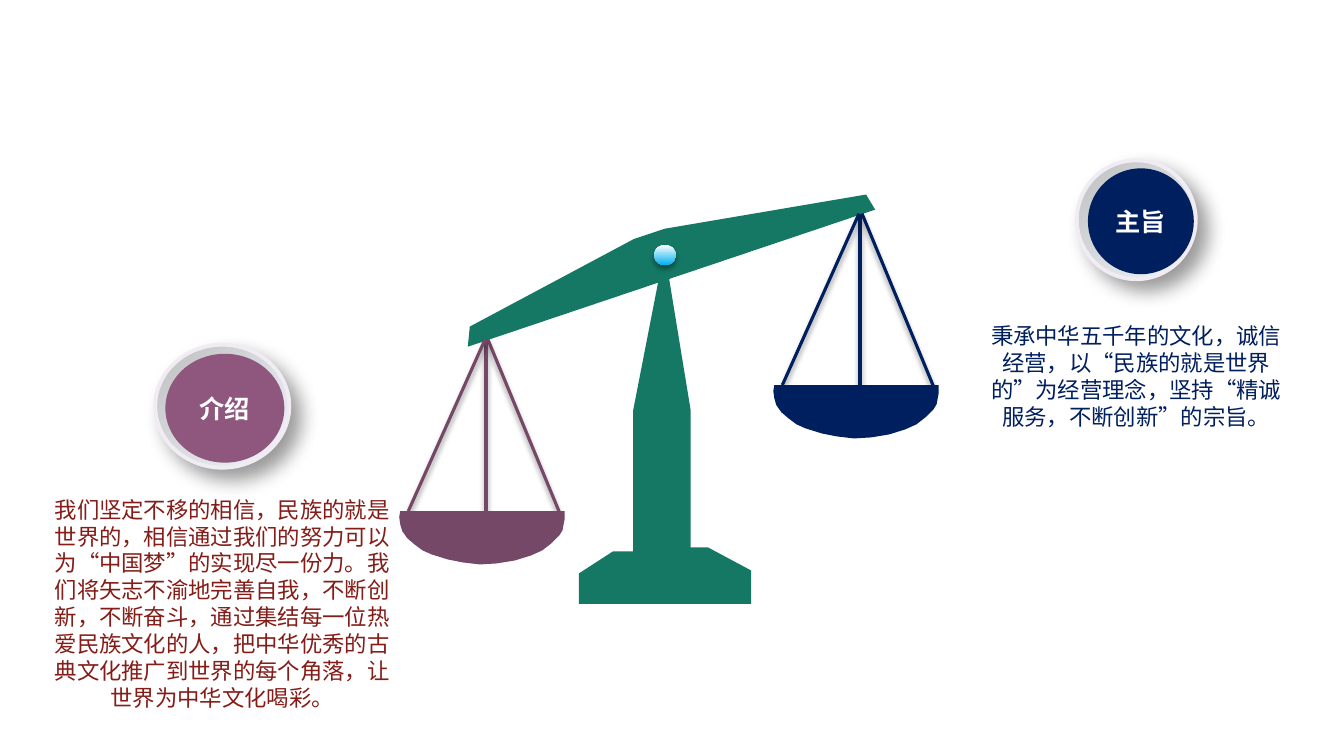
from dataclasses import dataclass

from lxml.etree import SubElement
from pptx import Presentation
from pptx.dml.color import RGBColor
from pptx.enum.shapes import MSO_CONNECTOR, MSO_SHAPE
from pptx.enum.text import MSO_ANCHOR, MSO_AUTO_SIZE, PP_ALIGN
from pptx.oxml.ns import qn
from pptx.util import Inches, Pt


@dataclass(frozen=True)
class Theme:
    green: RGBColor = RGBColor.from_string("147865")
    navy: RGBColor = RGBColor.from_string("001F5E")
    plum: RGBColor = RGBColor.from_string("764867")
    mauve: RGBColor = RGBColor.from_string("8F577D")
    red: RGBColor = RGBColor.from_string("841C17")
    white: RGBColor = RGBColor.from_string("FFFFFF")
    sky: RGBColor = RGBColor.from_string("00B0F0")
    rim: RGBColor = RGBColor.from_string("F1ECF4")
    pale: RGBColor = RGBColor.from_string("F1F7FD")
    silver: RGBColor = RGBColor.from_string("BFBFBF")
    badge_font: str = "Noto Sans CJK SC"
    body_font: str = "Arial"
    badge_size: Pt = Pt(18)
    body_size: Pt = Pt(16)


theme = Theme()


def add_shadow(shape, blur, distance, angle):
    """Give a shape a 40% black outer shadow; call it after the line is set."""
    effects = SubElement(shape._element.spPr, qn("a:effectLst"))
    shadow = SubElement(effects, qn("a:outerShdw"), blurRad=str(Pt(blur)),
                        dist=str(Pt(distance)), dir=str(angle * 60000), rotWithShape="0")
    color = SubElement(shadow, qn("a:srgbClr"), val="000000")
    SubElement(color, qn("a:alpha"), val="40000")


def add_outline(shapes, points, color):
    """Draw a closed, filled polygon through points given in inches."""
    (start_x, start_y), *others = points
    builder = shapes.build_freeform(Inches(start_x), Inches(start_y), scale=1.0)
    builder.add_line_segments([(Inches(x), Inches(y)) for x, y in others], close=True)
    outline = builder.convert_to_shape()
    outline.fill.solid()
    outline.fill.fore_color.rgb = color
    outline.line.fill.background()
    outline.shadow.inherit = False


presentation = Presentation()
presentation.slide_width = Inches(13.33)
presentation.slide_height = Inches(7.5)
slide = presentation.slides.add_slide(presentation.slide_layouts[6])

# Balance: stand, beam and pivot
balance = slide.shapes.add_group_shape().shapes
stand = [(6.59, 2.48), (6.85, 4.07), (6.85, 5.43), (7.02, 5.43), (7.45, 5.66), (7.45, 5.99),
         (5.74, 5.99), (5.74, 5.69), (6.08, 5.47), (6.28, 5.47), (6.28, 4.07)]
beam = [(4.64, 3.44), (8.68, 2.08), (8.59, 1.93), (6.59, 2.27), (6.29, 2.37), (4.66, 3.24)]
for points in (stand, beam):
    add_outline(balance, points, theme.green)

pivot = balance.add_shape(MSO_SHAPE.OVAL, Inches(6.49), Inches(2.43), Inches(0.21), Inches(0.2))
pivot.fill.gradient()
pivot.fill.gradient_angle = 270
for stop, color in zip(pivot.fill.gradient_stops, (theme.white, theme.sky)):
    stop.color.rgb = color
pivot.line.fill.background()
add_shadow(pivot, 4, 3, 90)

# Ropes and pans, measured from the point where each pan hangs
ropes = [((0.02, 0), (0.74, 1.74)), ((0, 0), (0, 1.73)), ((-0.01, 0), (-0.77, 1.7))]
pan = [(-0.85, 1.7), (-0.86, 1.76), (-0.85, 1.83), (-0.83, 1.9), (-0.78, 1.97), (-0.71, 2.03),
       (-0.63, 2.09), (-0.54, 2.13), (-0.38, 2.18), (-0.23, 2.21), (-0.06, 2.23), (0.11, 2.22),
       (0.29, 2.19), (0.45, 2.14), (0.56, 2.09), (0.65, 2.02), (0.73, 1.94), (0.76, 1.89),
       (0.78, 1.78), (0.78, 1.7)]
for hang_x, hang_y, color in ((8.53, 2.12, theme.navy), (4.82, 3.37, theme.plum)):
    for (top_x, top_y), (end_x, end_y) in ropes:
        rope = balance.add_connector(
            MSO_CONNECTOR.STRAIGHT, Inches(hang_x + top_x), Inches(hang_y + top_y),
            Inches(hang_x + end_x), Inches(hang_y + end_y))
        rope.line.color.rgb = color
        rope.line.width = Pt(2.25)
        add_shadow(rope, 4, 3, 90)
    add_outline(balance, [(hang_x + x, hang_y + y) for x, y in pan], color)

# Badges with their texts: rim box, face box, text box
topics = [
    ("介绍", theme.mauve, theme.red,
     (1.54, 3.42, 1.33, 1.22), (1.64, 3.51, 1.18, 1.08), (0.36, 4.87, 3.69, 2.52),
     "我们坚定不移的相信，民族的就是世界的，相信通过我们的努力可以为“中国梦”的实现尽一份力。"
     "我们将矢志不渝地完善自我，不断创新，不断奋斗，通过集结每一位热爱民族文化的人，"
     "把中华优秀的古典文化推广到世界的每个角落，让世界为中华文化喝彩。"),
    ("主旨", theme.navy, theme.navy,
     (10.68, 1.59, 1.18, 1.18), (10.79, 1.67, 1.05, 1.05), (9.63, 3.15, 3.28, 1.18),
     "秉承中华五千年的文化，诚信经营，以“民族的就是世界的”为经营理念，"
     "坚持“精诚服务，不断创新”的宗旨。"),
]
for name, face_color, text_color, rim_box, face_box, text_box, description in topics:
    topic = slide.shapes.add_group_shape().shapes

    rim = topic.add_shape(MSO_SHAPE.OVAL, *map(Inches, rim_box))
    rim.fill.gradient()
    rim.fill.gradient_angle = 135
    for stop, color in zip(rim.fill.gradient_stops, (theme.pale, theme.silver)):
        stop.color.rgb = color
    rim.line.color.rgb = theme.rim
    rim.line.width = Pt(2.75)
    add_shadow(rim, 14, 10, 45)

    face = topic.add_shape(MSO_SHAPE.OVAL, *map(Inches, face_box))
    face.fill.solid()
    face.fill.fore_color.rgb = face_color
    face.line.fill.background()
    face.shadow.inherit = False
    face.text_frame.vertical_anchor = MSO_ANCHOR.MIDDLE

    body = topic.add_textbox(*map(Inches, text_box))
    body.text_frame.word_wrap = True
    body.text_frame.auto_size = MSO_AUTO_SIZE.SHAPE_TO_FIT_TEXT

    for shape, text, font_name, size, color, bold in (
            (face, name, theme.badge_font, theme.badge_size, theme.white, True),
            (body, description, theme.body_font, theme.body_size, text_color, False)):
        paragraph = shape.text_frame.paragraphs[0]
        paragraph.text = text
        paragraph.alignment = PP_ALIGN.CENTER
        paragraph.font.name = font_name
        paragraph.font.size = size
        paragraph.font.bold = bold
        paragraph.font.color.rgb = color
        SubElement(paragraph.font._element, qn("a:ea"), typeface=theme.badge_font)

presentation.save("out.pptx")
